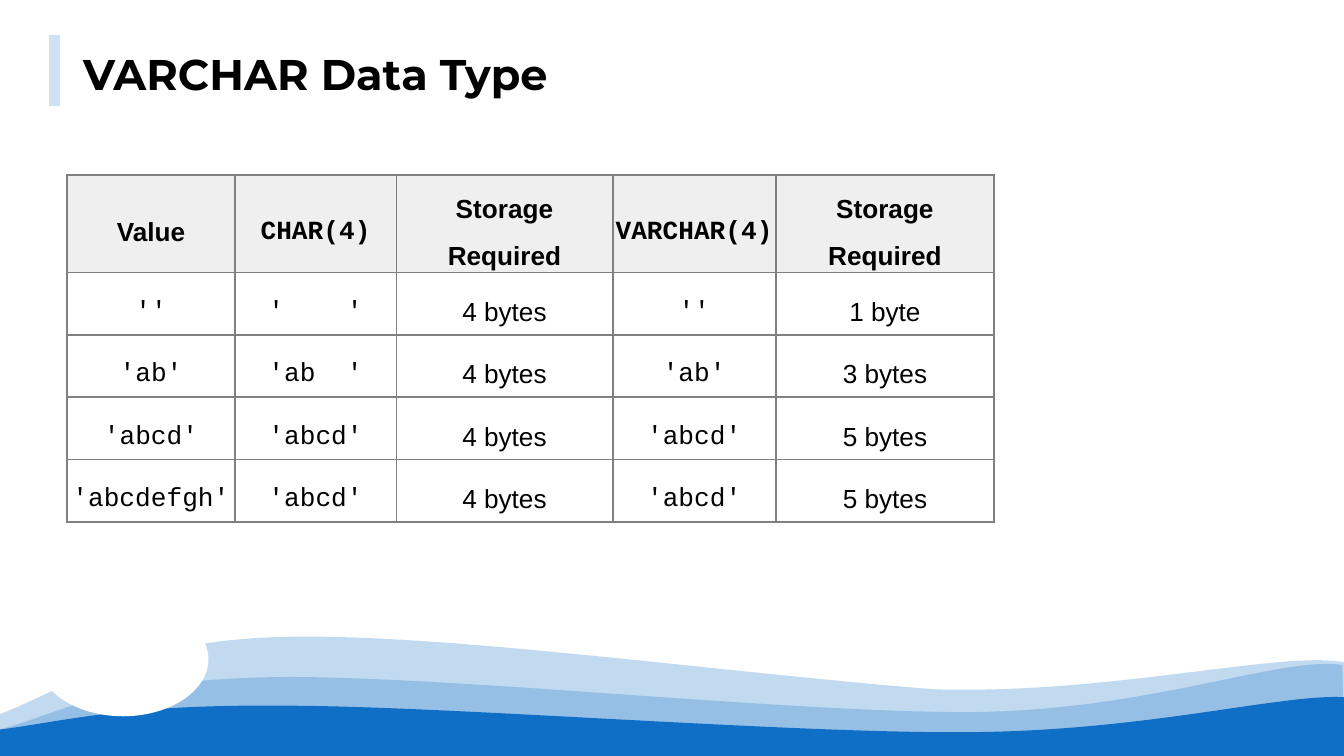
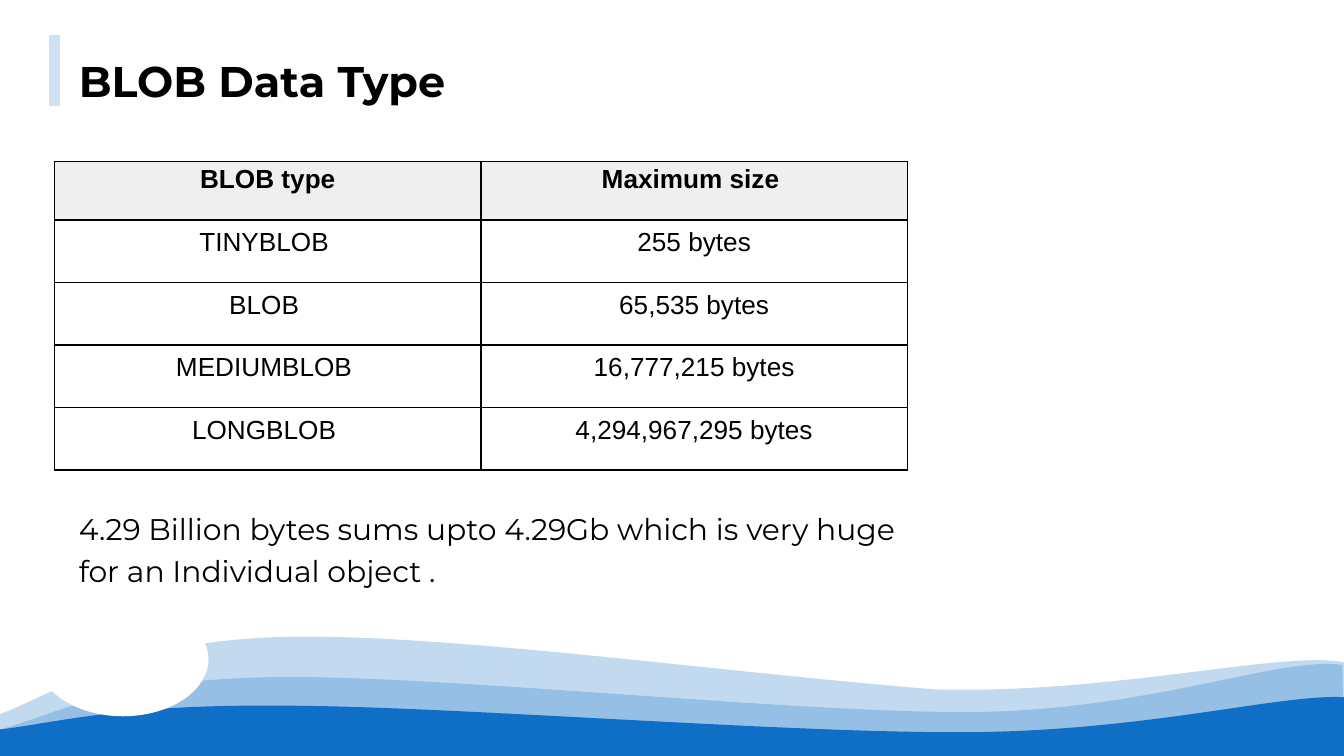
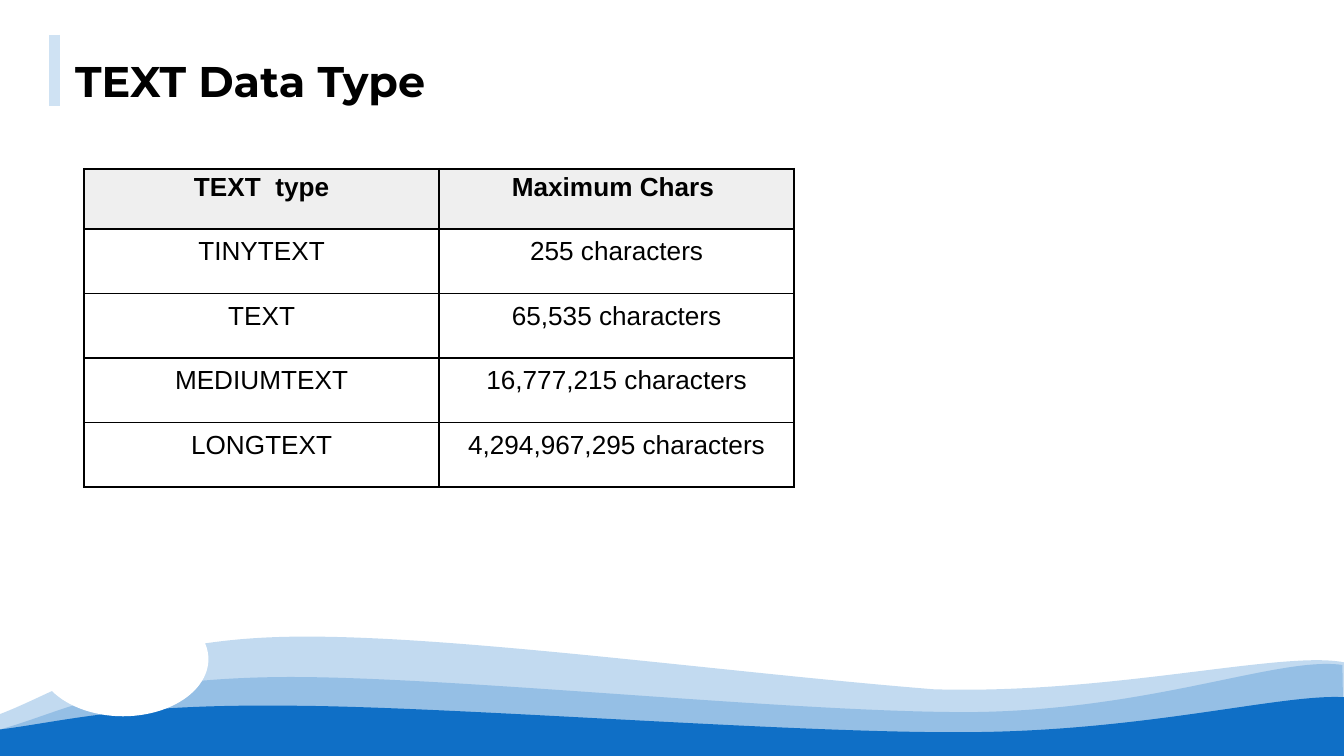
"""Builds three slides on SQL data types, each with a title and a table."""
from lxml.etree import SubElement
from pptx import Presentation
from pptx.dml.color import RGBColor
from pptx.enum.shapes import MSO_CONNECTOR, MSO_SHAPE
from pptx.enum.text import MSO_ANCHOR, MSO_AUTO_SIZE, PP_ALIGN
from pptx.oxml.ns import qn
from pptx.util import Cm, Pt

BLUE = RGBColor(0x0F, 0x6F, 0xC6)
PALE_BLUE = RGBColor(0xCF, 0xE2, 0xF3)
WHITE = RGBColor(0xFF, 0xFF, 0xFF)
BLACK = RGBColor(0x00, 0x00, 0x00)
GRAY = RGBColor(0x80, 0x80, 0x80)
HEADER_GRAY = RGBColor(0xEF, 0xEF, 0xEF)

PAGE_WIDTH, PAGE_HEIGHT = 25.4, 14.29

TITLE_FONT = {"name": "Montserrat", "size": Pt(23), "bold": True}
NOTE_FONT = {"name": "Montserrat", "size": Pt(16), "bold": False}
FRAME = {"word_wrap": True, "auto_size": MSO_AUTO_SIZE.NONE, "vertical_anchor": MSO_ANCHOR.TOP,
         "margin_left": Cm(0.1), "margin_right": Cm(0.1),
         "margin_top": Cm(0.1), "margin_bottom": Cm(0.1)}

WAVES = [
    (25, (-0.03, 13.51), [((1.17, 13.06), (2.39, 12.12), (5.33, 12.04)),
                          ((8.28, 11.96), (13.54, 12.7), (17.65, 13.03)),
                          ((21.01, 13.13), (24.23, 12.29), (25.4, 12.52))]),
    (25, (0, 13.79), [((1.19, 13.46), (2.11, 12.85), (5.18, 12.8)),
                      ((8.26, 12.75), (15.09, 13.49), (18.44, 13.46)),
                      ((21.82, 13.41), (24.18, 12.4), (25.37, 12.57))]),
    (100, (0, 13.79), [((1.19, 13.64), (2.31, 13.31), (5.36, 13.34)),
                       ((8.41, 13.34), (14.99, 13.87), (18.31, 13.84)),
                       ((21.67, 13.82), (24.23, 13.11), (25.4, 13.18))]),
]

STORAGE_LOOK = {"border": GRAY, "anchor": MSO_ANCHOR.MIDDLE, "spacing": (1.6, 1.6),
                "margins": ((0.03, 0.03), (0.05, 0))}
SIZE_LOOK = {"border": BLACK, "anchor": MSO_ANCHOR.TOP, "spacing": (1.0, 1.15),
             "margins": ((0.07, 0.07), (0.07, 0.07))}

SLIDES = [
    {"title": "VARCHAR Data Type", "title_box": (1.47, 0.66, 14.22, 1.35),
     "look": STORAGE_LOOK, "corner": (1.27, 3.31),
     "columns": [3.17, 3.05, 4.09, 3.08, 4.13], "heights": (1.47, 1.18),
     "rows": [("Value", "CHAR(4)", "Storage Required", "VARCHAR(4)", "Storage Required"),
              ("''", "'    '", "4 bytes", "''", "1 byte"),
              ("'ab'", "'ab  '", "4 bytes", "'ab'", "3 bytes"),
              ("'abcd'", "'abcd'", "4 bytes", "'abcd'", "5 bytes"),
              ("'abcdefgh'", "'abcd'", "4 bytes", "'abcd'", "5 bytes")]},
    {"title": "BLOB Data Type", "title_box": (1.39, 0.79, 14.45, 1.07),
     "note": "4.29 Billion bytes sums upto 4.29Gb which is very huge for an Individual object .",
     "note_box": (1.39, 9.46, 16.13, 1.65),
     "look": SIZE_LOOK, "corner": (1.03, 3.05),
     "columns": [8.06, 8.06], "heights": (1.11, 1.18),
     "rows": [("BLOB type", "Maximum size "),
              ("TINYBLOB ", "255 bytes"),
              ("BLOB ", "65,535 bytes"),
              ("MEDIUMBLOB ", "16,777,215 bytes"),
              ("LONGBLOB ", "4,294,967,295 bytes")]},
    {"title": "TEXT Data Type", "title_box": (1.32, 0.79, 14.45, 1.07),
     "look": SIZE_LOOK, "corner": (1.59, 3.19),
     "columns": [6.71, 6.71], "heights": (1.14, 1.22),
     "rows": [("TEXT  type", "Maximum Chars "),
              ("TINYTEXT", "255 characters"),
              ("TEXT", "65,535 characters"),
              ("MEDIUMTEXT", "16,777,215 characters"),
              ("LONGTEXT", "4,294,967,295 characters")]},
]


def apply_format(target, values):
    """Set each named attribute of the target."""
    for name, value in values.items():
        setattr(target, name, value)


def write_text(frame, text, font, spacing, align):
    """Fill a text frame with one formatted paragraph."""
    para = frame.paragraphs[0]
    apply_format(para, {"alignment": align, "line_spacing": spacing})
    span = para.add_run()
    span.text = text
    apply_format(span.font, font)
    span.font.color.rgb = BLACK


def fill_box(box, bounds, text, font):
    """Place a text shape and write left-aligned text in it."""
    apply_format(box, dict(zip(("left", "top", "width", "height"), map(Cm, bounds))))
    apply_format(box.text_frame, FRAME)
    write_text(box.text_frame, text, font, 1.15, PP_ALIGN.LEFT)


def paint(shape, color, opacity=100):
    """Give a shape a flat fill without line or shadow."""
    shape.shadow.inherit = False
    shape.line.fill.background()
    shape.fill.solid()
    shape.fill.fore_color.rgb = color
    if opacity < 100:
        tone = next(shape.element.spPr.iter(qn("a:srgbClr")))
        SubElement(tone, qn("a:alpha"), val=str(opacity * 1000))


def draw_wave(page, start, curves):
    """Draw an outline whose top edge is a chain of cubic curves."""
    corners = [curve[-1] for curve in curves] + [(PAGE_WIDTH, PAGE_HEIGHT), (0, PAGE_HEIGHT)]
    builder = page.shapes.build_freeform(Cm(start[0]), Cm(start[1]))
    builder.add_line_segments([(Cm(x), Cm(y)) for x, y in corners], close=True)
    wave = builder.convert_to_shape()
    segments = list(wave.element.spPr.iter(qn("a:lnTo")))
    for segment, curve in zip(segments, curves):
        bend = segment.makeelement(qn("a:cubicBezTo"))
        for x, y in curve:
            SubElement(bend, qn("a:pt"), x=str(Cm(x) - wave.left), y=str(Cm(y) - wave.top))
        segment.getparent().replace(segment, bend)
    return wave


def add_wave_band(page, master):
    """Draw the bottom waves and move them to the slide master."""
    band = []
    for opacity, start, curves in WAVES:
        wave = draw_wave(page, start, curves)
        paint(wave, BLUE, opacity)
        band.append(wave)
    notch = page.shapes.add_shape(MSO_SHAPE.OVAL, Cm(0.71), Cm(11.38), Cm(3.23), Cm(2.16))
    paint(notch, WHITE)
    for shape in band + [notch]:
        master.shapes.element.append(shape.element)


def add_title_bar(page):
    """Draw the pale vertical bar beside the title."""
    bar = page.shapes.add_connector(MSO_CONNECTOR.STRAIGHT, Cm(1.03), Cm(0.66), Cm(1.03), Cm(2.01))
    bar.line.color.rgb = PALE_BLUE
    bar.line.width = Pt(6)
    SubElement(bar.element.spPr, qn("a:effectLst"))


def add_borders(cell, color):
    """Draw a one-point line on every side of a cell."""
    properties = cell._tc.get_or_add_tcPr()
    for side in ("lnL", "lnR", "lnT", "lnB"):
        line = SubElement(properties, qn(f"a:{side}"), w=str(Pt(1)))
        SubElement(SubElement(line, qn("a:solidFill")), qn("a:srgbClr"), val=str(color))


def format_cell(cell, text, is_header, look):
    """Write and style one table cell."""
    add_borders(cell, look["border"])
    cell.fill.solid()
    cell.fill.fore_color.rgb = HEADER_GRAY if is_header else WHITE
    part = 0 if is_header else 1
    side, edge = map(Cm, look["margins"][part])
    apply_format(cell, {"vertical_anchor": look["anchor"], "margin_left": side,
                        "margin_right": side, "margin_top": edge, "margin_bottom": edge})
    is_code = "'" in text or "(" in text
    font = {"name": "Courier New" if is_code else "Arial", "size": Pt(14), "bold": is_header}
    write_text(cell.text_frame, text, font, look["spacing"][part], PP_ALIGN.CENTER)


def add_type_table(page, content):
    """Add the table of a slide."""
    rows, columns = content["rows"], content["columns"]
    header_height, row_height = content["heights"]
    heights = [header_height] + [row_height] * (len(rows) - 1)
    left, top = map(Cm, content["corner"])
    table = page.shapes.add_table(len(rows), len(columns), left, top,
                                  Cm(sum(columns)), Cm(sum(heights))).table
    for column, width in zip(table.columns, columns):
        column.width = Cm(width)
    for index, (row, height, texts) in enumerate(zip(table.rows, heights, rows)):
        row.height = Cm(height)
        for cell, text in zip(row.cells, texts):
            format_cell(cell, text, index == 0, content["look"])


def main():
    """Build and save the deck."""
    deck = Presentation()
    deck.slide_width, deck.slide_height = Cm(PAGE_WIDTH), Cm(PAGE_HEIGHT)
    title_only = deck.slide_layouts[5]
    for content in SLIDES:
        page = deck.slides.add_slide(title_only)
        if len(deck.slides) == 1:
            add_wave_band(page, deck.slide_master)
        fill_box(page.shapes.title, content["title_box"], content["title"], TITLE_FONT)
        if "note" in content:
            note = page.shapes.add_textbox(0, 0, 0, 0)
            fill_box(note, content["note_box"], content["note"], NOTE_FONT)
        add_type_table(page, content)
        add_title_bar(page)
    deck.save("out.pptx")


if __name__ == "__main__":
    main()
